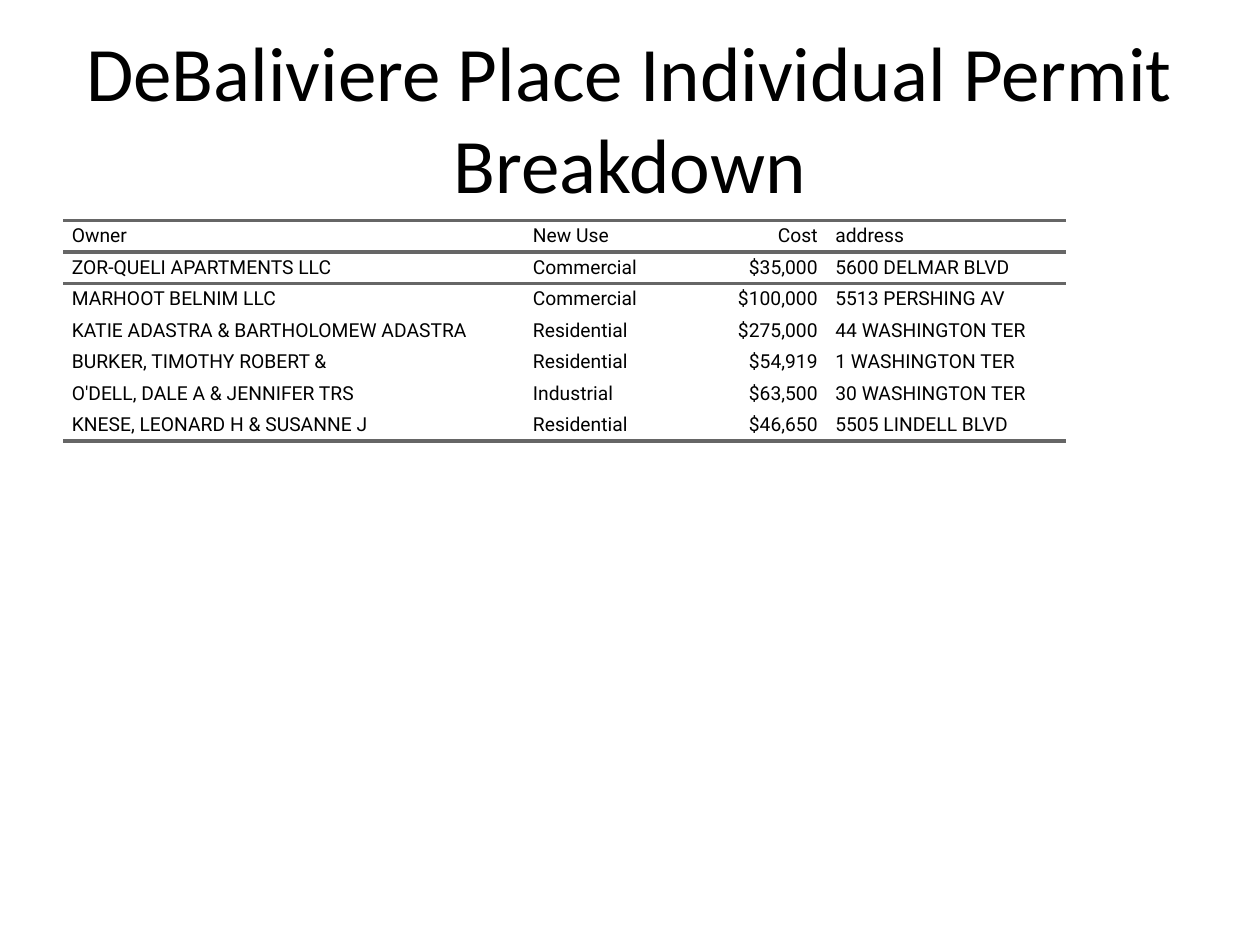
import pptx
import pptx.dml.color
import pptx.enum.text
import pptx.oxml
import pptx.oxml.ns
import pptx.util

ALIGN = pptx.enum.text.PP_ALIGN
MIDDLE = pptx.enum.text.MSO_ANCHOR.MIDDLE
NO_STYLE = "{2D5ABB26-0587-4C30-8999-92F81FD0307C}"
BLACK, RULE = "000000", "666666"
MARGIN = 0.05
COLUMNS = [3.66, 1.1, 1.3, 1.9]
ROW_HEIGHT = 0.25
COST_COLUMN = 2
PERMITS = [
    ("Owner", "New Use", "Cost", "address"),
    ("ZOR-QUELI APARTMENTS LLC", "Commercial", "$35,000", "5600 DELMAR BLVD"),
    ("MARHOOT BELNIM LLC", "Commercial", "$100,000", "5513 PERSHING AV"),
    ("KATIE ADASTRA & BARTHOLOMEW ADASTRA", "Residential", "$275,000", "44 WASHINGTON TER"),
    ("BURKER, TIMOTHY ROBERT &", "Residential", "$54,919", "1 WASHINGTON TER"),
    ("O'DELL, DALE A & JENNIFER TRS", "Industrial", "$63,500", "30 WASHINGTON TER"),
    ("KNESE, LEONARD H & SUSANNE J", "Residential", "$46,650", "5505 LINDELL BLVD"),
]


def rgb(value):
    return pptx.dml.color.RGBColor.from_string(value)


def write(tf, text, font, size, align):
    tf.text = text
    p = tf.paragraphs[0]
    p.alignment = align
    r = p.runs[0]
    r.font.name = font
    r.font.size = pptx.util.Pt(size)
    r.font.color.rgb = rgb(BLACK)


def add_title(prs, s, text):
    w, h = prs.slide_width, prs.slide_height
    sp = s.shapes.add_textbox(int(w * MARGIN), int(h * 0.04), int(w * 0.9), int(h / 6))
    tf = sp.text_frame
    tf.word_wrap = True
    tf.vertical_anchor = MIDDLE
    write(tf, text, "Calibri", 44, ALIGN.CENTER)


def add_border(cell, side):
    cell._tc.get_or_add_tcPr().append(pptx.oxml.parse_xml(
        f'<a:{side} {pptx.oxml.ns.nsdecls("a")} w="{pptx.util.Pt(2)}">'
        f'<a:solidFill><a:srgbClr val="{RULE}"/></a:solidFill></a:{side}>'))


def format_cell(cell, text, align, sides):
    cell.margin_left = cell.margin_right = pptx.util.Inches(0.07)
    cell.margin_top = cell.margin_bottom = 0
    cell.vertical_anchor = MIDDLE
    write(cell.text_frame, text, "Roboto", 11, align)
    for side in sides:
        add_border(cell, side)
    cell.fill.background()


def add_permit_table(prs, s, rows):
    frame = s.shapes.add_table(
        len(rows), len(COLUMNS),
        int(prs.slide_width * MARGIN), int(prs.slide_height * 0.7 / 3),
        pptx.util.Inches(sum(COLUMNS)), pptx.util.Inches(ROW_HEIGHT * len(rows)))
    table = frame.table
    table.first_row = table.horz_banding = False
    table._tbl.tblPr[0].text = NO_STYLE
    for column, width in zip(table.columns, COLUMNS):
        column.width = pptx.util.Inches(width)
    borders = {0: ("lnT", "lnB"), 1: ("lnT",), len(rows) - 1: ("lnB",)}
    for i, row in enumerate(rows):
        table.rows[i].height = pptx.util.Inches(ROW_HEIGHT)
        for j, text in enumerate(row):
            align = ALIGN.RIGHT if j == COST_COLUMN else ALIGN.LEFT
            format_cell(table.cell(i, j), text, align, borders.get(i, ()))


def main():
    prs = pptx.Presentation()
    prs.slide_width = pptx.util.Inches(10)
    prs.slide_height = pptx.util.Inches(7.5)
    s = prs.slides.add_slide(prs.slide_layouts[6])
    add_title(prs, s, "DeBaliviere Place Individual Permit Breakdown")
    add_permit_table(prs, s, PERMITS)
    prs.save("out.pptx")


if __name__ == "__main__":
    main()
